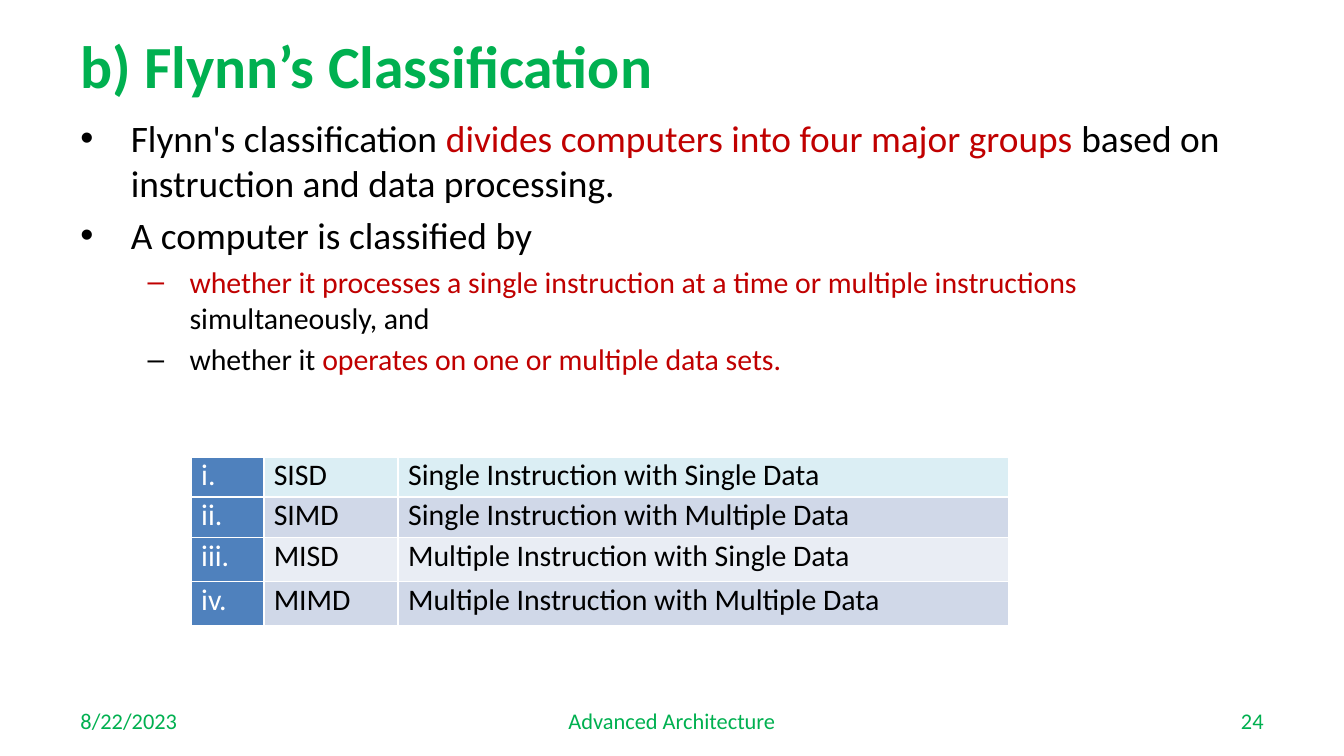
from lxml.etree import SubElement as Sub
from pptx import Presentation
from pptx.dml.color import RGBColor as RGB
from pptx.enum.text import MSO_ANCHOR as Anchor, PP_ALIGN as Align
from pptx.oxml.ns import qn
from pptx.util import Pt

FONT = "Calibri"
GREEN = RGB(0x00, 0xB0, 0x50)
RED = RGB(0xC0, 0x00, 0x00)
BLACK = RGB(0x00, 0x00, 0x00)
WHITE = RGB(0xFF, 0xFF, 0xFF)
BLUE = RGB(0x4F, 0x81, 0xBD)
AQUA = RGB(0xDB, 0xEE, 0xF4)
DARK = RGB(0xD0, 0xD8, 0xE8)
PALE = RGB(0xE9, 0xED, 0xF4)

POINTS = [
    (0, [("Flynn's classification ", BLACK),
         ("divides computers into four major groups ", RED),
         ("based on instruction and data processing.", BLACK)]),
    (0, [("A computer is classified by", BLACK)]),
    (1, [("whether it processes a single instruction at a time or multiple instructions", RED),
         (" simultaneously, and", BLACK)]),
    (1, [("whether it ", BLACK),
         ("operates on one or multiple data sets.", RED)]),
]
LEVELS = [("•", 27, 27, 20), ("–", 58.5, 22.5, 16)]
GROUPS = [
    ("i.", "SISD", "Single Instruction with Single Data", AQUA, 21.6),
    ("ii.", "SIMD", "Single Instruction with Multiple Data", DARK, 21.6),
    ("iii.", "MISD", "Multiple Instruction with Single Data", PALE, 23.6),
    ("iv.", "MIMD", "Multiple Instruction with Multiple Data", DARK, 23.6),
]
WIDTHS = [38.9, 72, 327]


def style(run, size, color, bold=False):
    font = run.font
    font.name, font.size, font.bold = FONT, Pt(size), bold
    font.color.rgb = color


def add_box(slide, left, top, width, height):
    frame = slide.shapes.add_textbox(Pt(left), Pt(top), Pt(width), Pt(height)).text_frame
    frame.word_wrap = True
    return frame


def add_label(slide, area, text, size, align=Align.LEFT, bold=False):
    frame = add_box(slide, *area)
    frame.vertical_anchor = Anchor.MIDDLE
    frame.text = text
    para = frame.paragraphs[0]
    para.alignment = align
    style(para.runs[0], size, GREEN, bold)


def add_points(slide):
    frame = add_box(slide, 36, 58.3, 648, 303)
    for row, (level, parts) in enumerate(POINTS):
        mark, left, hang, size = LEVELS[level]
        para = frame.add_paragraph() if row else frame.paragraphs[0]
        para.level = level
        if row:
            para.space_before = Pt(size * 0.2)
        props = para._p.get_or_add_pPr()
        props.set("marL", str(Pt(left)))
        props.set("indent", str(-Pt(hang)))
        Sub(props, qn("a:buFont"), typeface="Arial")
        Sub(props, qn("a:buChar"), char=mark)
        for text, color in parts:
            run = para.add_run()
            run.text = text
            style(run, size, color)


def add_edges(cell):
    props = cell._tc.get_or_add_tcPr()
    for side in ("L", "R", "T", "B"):
        line = Sub(props, qn("a:ln" + side), w=str(Pt(1)))
        fill = Sub(line, qn("a:solidFill"))
        Sub(fill, qn("a:srgbClr"), val=str(WHITE))


def fill_cell(cell, text, color, back):
    cell.margin_left = cell.margin_right = Pt(5.4)
    cell.margin_top = cell.margin_bottom = Pt(0)
    cell.text = text
    para = cell.text_frame.paragraphs[0]
    para.alignment = Align.JUSTIFY
    style(para.runs[0], 16, color)
    add_edges(cell)
    cell.fill.solid()
    cell.fill.fore_color.rgb = back


def add_groups(slide):
    high = sum(group[-1] for group in GROUPS)
    table = slide.shapes.add_table(
        len(GROUPS), len(WIDTHS), Pt(102.4), Pt(244.8), Pt(sum(WIDTHS)), Pt(high)).table
    table.first_row = table.horz_banding = False
    for col, width in zip(table.columns, WIDTHS):
        col.width = Pt(width)
    for row, (*texts, back, height) in zip(table.rows, GROUPS):
        row.height = Pt(height)
        for col, (cell, text) in enumerate(zip(row.cells, texts)):
            fill_cell(cell, text, BLACK if col else WHITE, back if col else BLUE)


def main():
    deck = Presentation()
    deck.slide_width, deck.slide_height = Pt(720), Pt(405)
    slide = deck.slides.add_slide(deck.slide_layouts[6])
    add_label(slide, (36, 16.5, 648, 36), "b) Flynn’s Classification", 32, bold=True)
    add_points(slide)
    add_label(slide, (36, 375.4, 168, 21.6), "8/22/2023", 12)
    add_label(slide, (516, 375.4, 168, 21.6), "24", 12, Align.RIGHT)
    add_label(slide, (246, 375.4, 228, 21.6), "Advanced Architecture", 12, Align.CENTER)
    add_groups(slide)
    deck.save("out.pptx")


if __name__ == "__main__":
    main()
